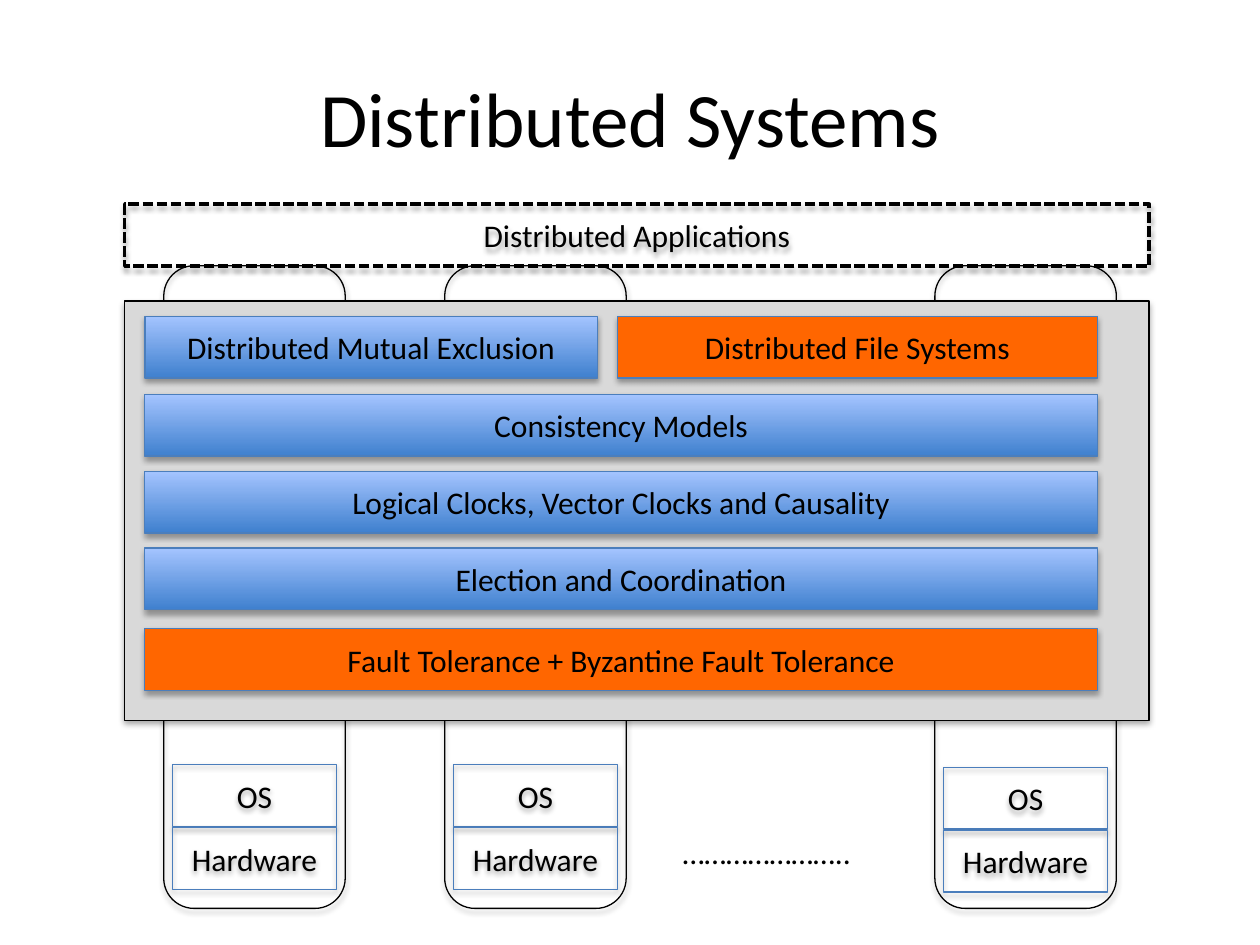
import pptx
import pptx.dml.color
import pptx.enum.dml
import pptx.enum.shapes
import pptx.enum.text
import pptx.oxml
import pptx.oxml.ns
import pptx.util
from pptx.util import Inches

COLORS = {
    "black": "000000",
    "panel": "D9D9D9",
    "orange": "FF6600",
    "blue_line": "4B7EBC",
    "blue_dark": "3F80CE",
    "blue_light": "A4C4FF",
}
BAR_HEIGHT = 0.49
SHADOW_XML = (
    '<a:outerShdw %s blurRad="40000" dist="23000" dir="5400000" rotWithShape="0">'
    '<a:srgbClr val="000000"><a:alpha val="35000"/></a:srgbClr></a:outerShdw>'
    % pptx.oxml.ns.nsdecls("a")
)


def color(name):
    """Return the named palette colour."""
    return pptx.dml.color.RGBColor.from_string(COLORS[name])


def write_text(shape, text, size=18, align="CENTER", anchor="MIDDLE", wrap=True):
    """Put one formatted paragraph into a shape."""
    frame = shape.text_frame
    frame.word_wrap = wrap
    frame.vertical_anchor = getattr(pptx.enum.text.MSO_ANCHOR, anchor)
    paragraph = frame.paragraphs[0]
    paragraph.alignment = getattr(pptx.enum.text.PP_ALIGN, align)
    run = paragraph.add_run()
    run.text = text
    run.font.name = "Calibri"
    run.font.size = pptx.util.Pt(size)
    run.font.color.rgb = color("black")


def set_fill(shape, fill):
    """Fill a shape with a palette colour, the blue gradient or nothing."""
    if fill is None:
        shape.fill.background()
    elif fill == "gradient":
        shape.fill.gradient()
        shape.fill.gradient_angle = 90
        for stop, name in zip(shape.fill.gradient_stops, ("blue_dark", "blue_light")):
            stop.color.rgb = color(name)
    else:
        shape.fill.solid()
        shape.fill.fore_color.rgb = color(fill)


def add_box(slide, left, top, width, height=BAR_HEIGHT, text=None, fill=None,
            line="blue_line", weight=0.75, dashed=False, kind="RECTANGLE"):
    """Add an outlined box with a soft shadow and optional text."""
    preset = getattr(pptx.enum.shapes.MSO_SHAPE, kind)
    shape = slide.shapes.add_shape(
        preset, Inches(left), Inches(top), Inches(width), Inches(height))
    set_fill(shape, fill)
    shape.line.color.rgb = color(line)
    shape.line.width = pptx.util.Pt(weight)
    if dashed:
        shape.line.dash_style = pptx.enum.dml.MSO_LINE.SQUARE_DOT
    shape.shadow.inherit = False
    effects = shape._element.spPr.find(pptx.oxml.ns.qn("a:effectLst"))
    effects.append(pptx.oxml.parse_xml(SHADOW_XML))
    if text:
        write_text(shape, text)


def add_title(slide, text):
    """Place and fill the title placeholder."""
    title = slide.shapes.title
    title.left, title.top = Inches(0.5), Inches(0.3)
    title.width, title.height = Inches(9), Inches(1.25)
    write_text(title, text, size=44)


def add_ellipsis(slide):
    """Add the dots that stand for further machines."""
    box = slide.shapes.add_textbox(Inches(5.32), Inches(6.56), Inches(1.55), Inches(0.4))
    write_text(box, "…………………..", align="LEFT", anchor="TOP", wrap=False)
    box.text_frame.auto_size = pptx.enum.text.MSO_AUTO_SIZE.SHAPE_TO_FIT_TEXT


def main():
    """Build the slide and save it."""
    presentation = pptx.Presentation()
    presentation.slide_width, presentation.slide_height = Inches(10), Inches(7.5)
    slide = presentation.slides.add_slide(presentation.slide_layouts[5])
    add_title(slide, "Distributed Systems")

    machines = [(1.3, 6.07), (3.53, 6.07), (7.42, 6.09)]
    for left, _ in machines:
        add_box(slide, left, 2.11, 1.44, 5.1, line="black", kind="ROUNDED_RECTANGLE")

    add_box(slide, 0.99, 1.62, 8.13, text="Distributed Applications",
            line="black", weight=2, dashed=True)
    add_box(slide, 0.99, 2.39, 8.13, 3.33, fill="panel", line="black")

    layers = [
        (1.15, 2.51, 3.59, "Distributed Mutual Exclusion", "gradient"),
        (4.9, 2.51, 3.81, "Distributed File Systems", "orange"),
        (1.15, 3.13, 7.56, "Consistency Models", "gradient"),
        (1.15, 3.74, 7.56, "Logical Clocks, Vector Clocks and Causality", "gradient"),
        (1.15, 4.35, 7.56, "Election and Coordination", "gradient"),
        (1.15, 4.99, 7.56, "Fault Tolerance + Byzantine Fault Tolerance", "orange"),
    ]
    for left, top, width, text, fill in layers:
        add_box(slide, left, top, width, text=text, fill=fill)

    for left, top in machines:
        add_box(slide, left + 0.07, top, 1.3, text="OS")
        add_box(slide, left + 0.07, top + 0.5, 1.3, text="Hardware")
    add_ellipsis(slide)

    presentation.save("out.pptx")


if __name__ == "__main__":
    main()
